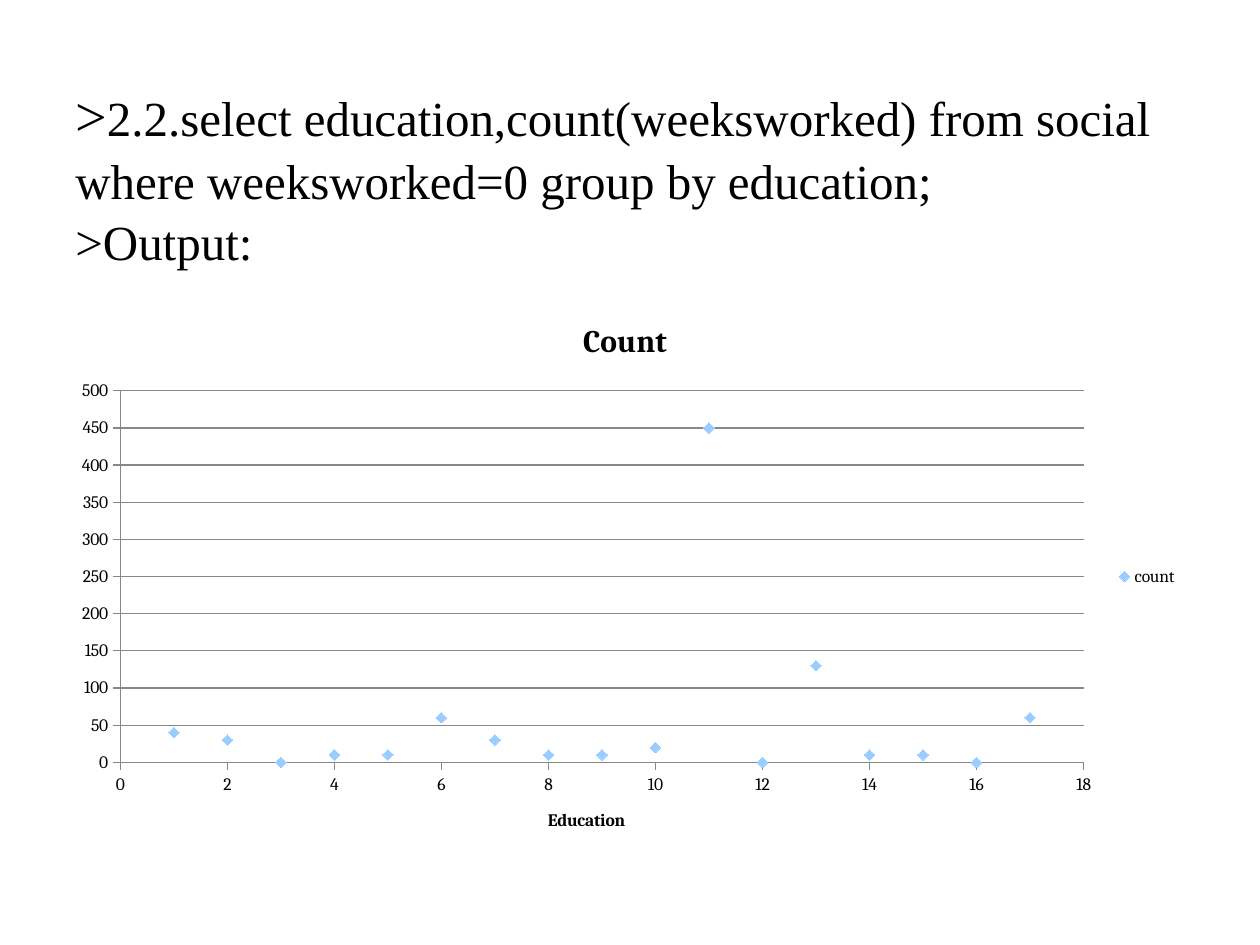
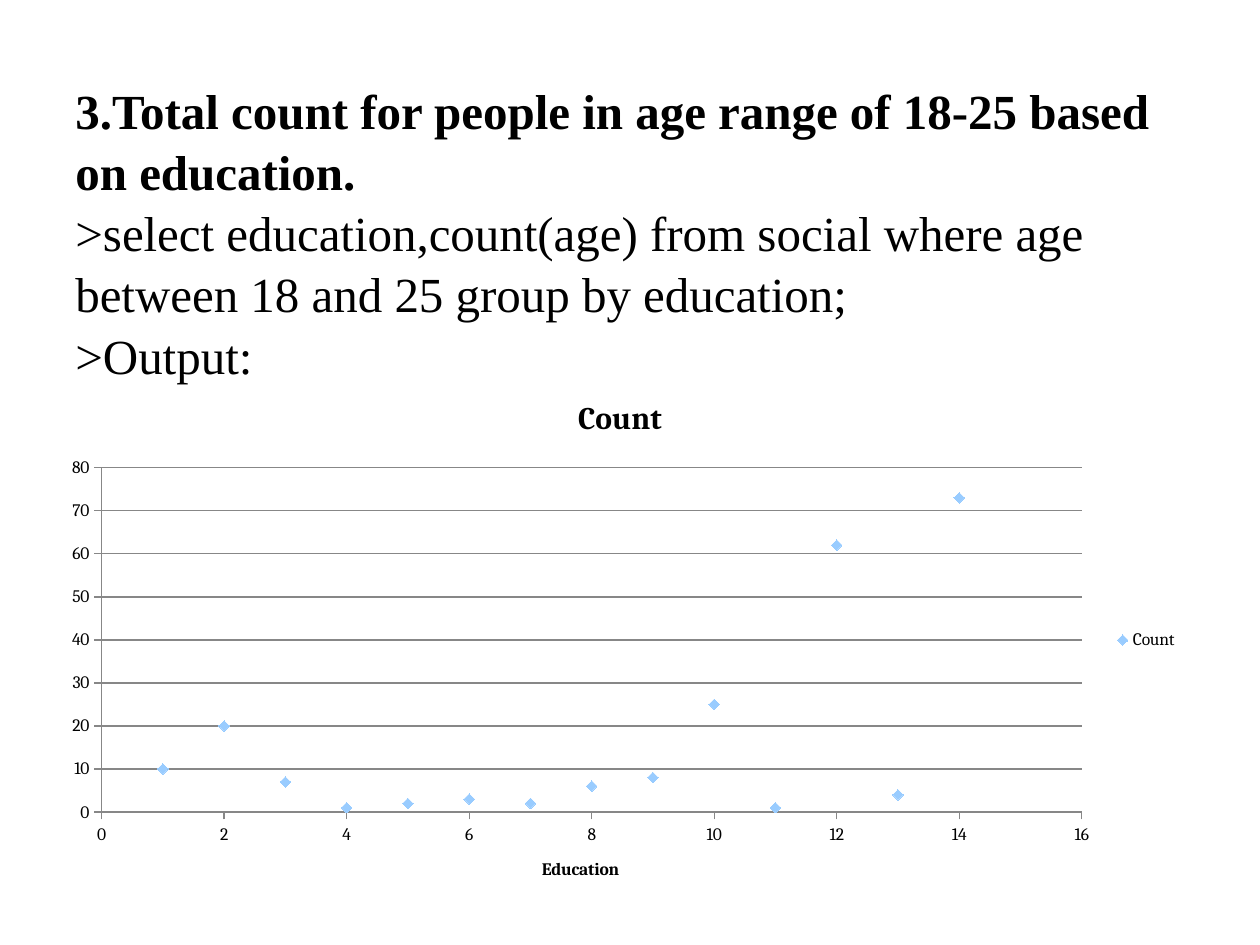
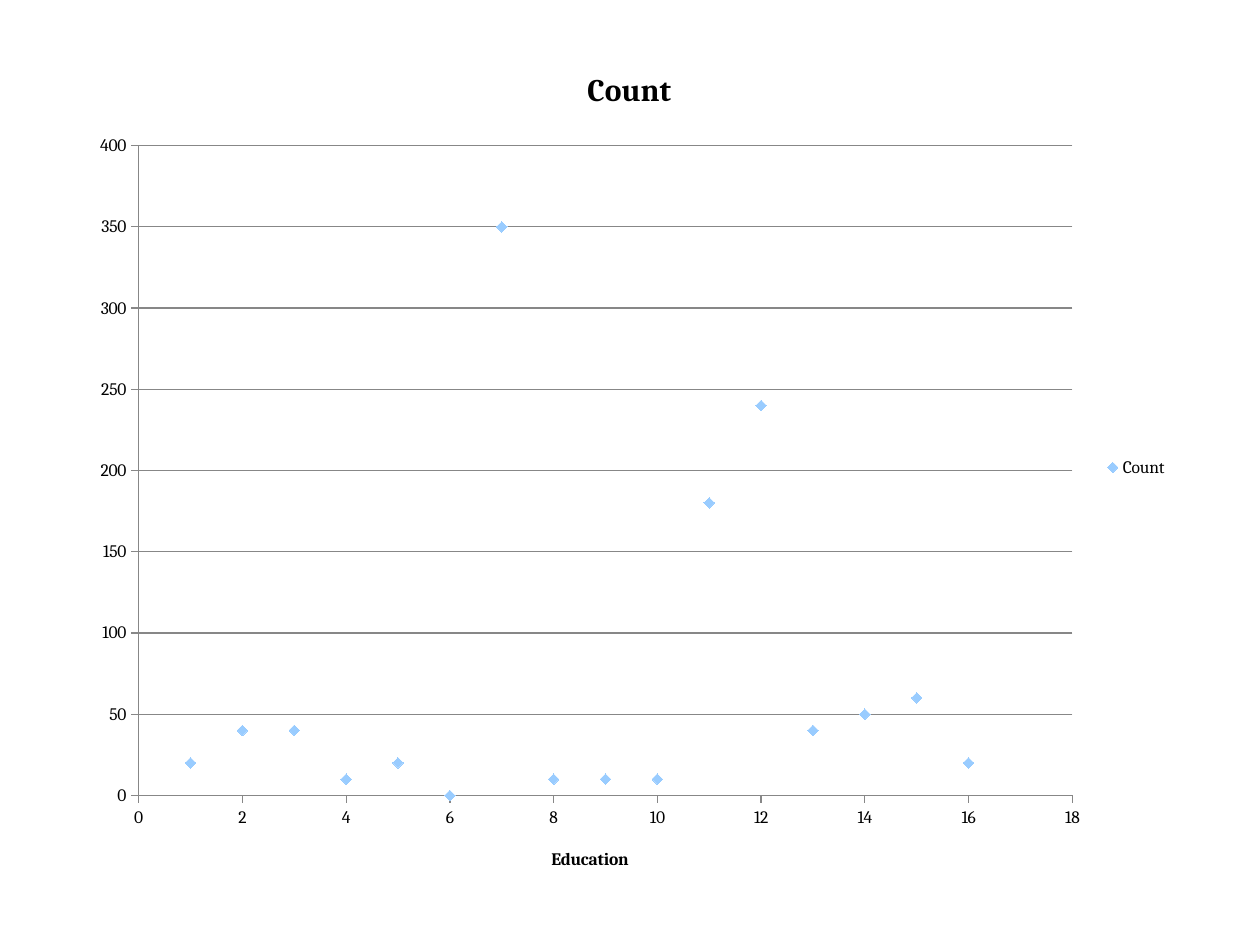
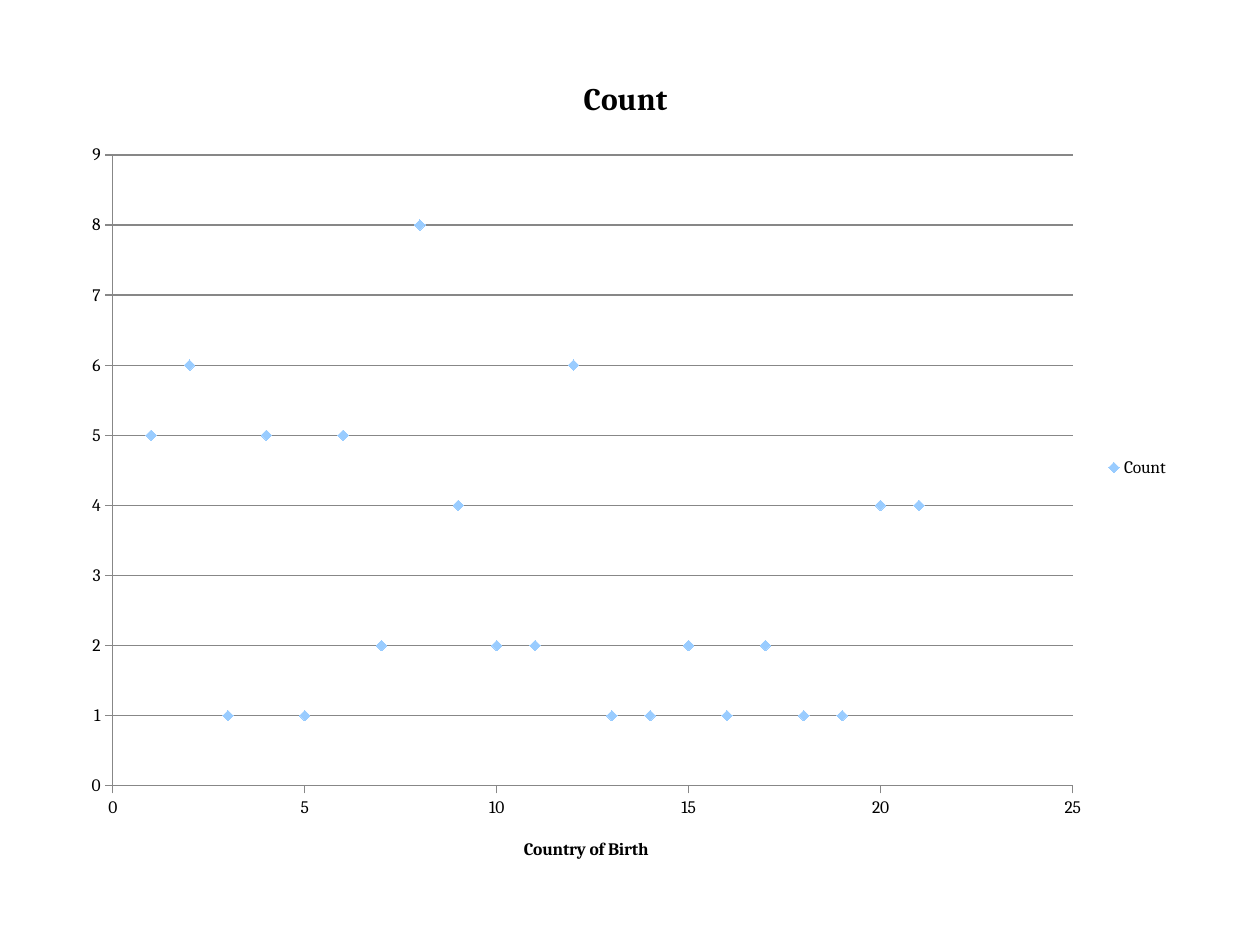
"""Build four slides of survey query results with scatter charts."""
from dataclasses import dataclass
from typing import Any

from pptx import Presentation
from pptx import util as u
from pptx.chart import data as cd
from pptx.dml.color import RGBColor
from pptx.enum import chart as ch, text

SCALE = 9144
BLACK = RGBColor(0x00, 0x00, 0x00)
WHITE = RGBColor(0xFF, 0xFF, 0xFF)
GRAY = RGBColor(0x87, 0x87, 0x87)
SKY = RGBColor(0x99, 0xCC, 0xFF)
BODY = {"name": "Times New Roman", "size": u.Pt(28), "bold": False}
LARGE = {**BODY, "size": u.Pt(32)}
STRONG = {**BODY, "bold": True}
LABEL = {"name": "Cambria", "size": u.Pt(10), "bold": False}
NAME = {**LABEL, "bold": True}
HEAD = {**NAME, "size": u.Pt(18)}
FRAME = {"word_wrap": True, "vertical_anchor": text.MSO_ANCHOR.TOP}
MARK = {"style": ch.XL_MARKER_STYLE.DIAMOND, "size": 6}
LEGEND = {"position": ch.XL_LEGEND_POSITION.RIGHT, "include_in_layout": False}
AXIS = {
    "minimum_scale": 0,
    "has_minor_gridlines": False,
    "major_tick_mark": ch.XL_TICK_MARK.OUTSIDE,
    "minor_tick_mark": ch.XL_TICK_MARK.NONE,
}


@dataclass(frozen=True)
class Box:
    left: int
    top: int
    width: int
    height: int

    def place(self) -> tuple[u.Emu, ...]:
        return tuple(px(n) for n in (self.left, self.top, self.width, self.height))


@dataclass(frozen=True)
class Run:
    words: str
    style: dict[str, Any]


@dataclass(frozen=True)
class Query:
    box: Box
    lines: tuple[tuple[Run, ...], ...]


@dataclass(frozen=True)
class Span:
    top: int
    step: int


@dataclass(frozen=True)
class Plot:
    box: Box
    series: str
    label: str
    across: Span
    upward: Span
    counts: tuple[int, ...]


@dataclass(frozen=True)
class Page:
    plot: Plot
    query: Query | None = None


OUTPUT = (Run(">Output:", BODY),)
PAGES = (
    Page(
        Plot(Box(47, 235, 898, 445), "count", "Education", Span(18, 2), Span(500, 50),
             (40, 30, 0, 10, 10, 60, 30, 10, 10, 20, 450, 0, 130, 10, 10, 0, 60)),
        Query(Box(50, 30, 903, 704), (
            (Run(">", LARGE),
             Run("2.2.select education,count(weeksworked) from social "
                 "where weeksworked=0 group by education;", BODY)),
            OUTPUT,
        )),
    ),
    Page(
        Plot(Box(39, 297, 906, 422), "Count", "Education", Span(16, 2), Span(80, 10),
             (10, 20, 7, 1, 2, 3, 2, 6, 8, 25, 1, 62, 4, 73)),
        Query(Box(50, 30, 900, 665), (
            (Run("3.Total count for people in age range of 18-25 "
                 "based on education.", STRONG),),
            (Run(">select education,count(age) from social where age "
                 "between 18 and 25 group by education;", BODY),),
            OUTPUT,
        )),
    ),
    Page(Plot(Box(62, 31, 875, 680), "Count", "Education", Span(18, 2), Span(400, 50),
              (20, 40, 40, 10, 20, 0, 350, 10, 10, 10, 180, 240, 40, 50, 60, 20))),
    Page(Plot(Box(55, 39, 883, 664), "Count", "Country of Birth", Span(25, 5), Span(9, 1),
              (5, 6, 1, 5, 1, 5, 2, 8, 4, 2, 2, 6, 1, 1, 2, 1, 2, 1, 1, 4, 4))),
)


def px(count: int) -> u.Emu:
    return u.Emu(count * SCALE)


def apply(target: Any, values: dict[str, Any]) -> None:
    for key, value in values.items():
        setattr(target, key, value)


def style_font(font: Any, style: dict[str, Any]) -> None:
    apply(font, style)
    font.color.rgb = BLACK


def style_line(line: Any) -> None:
    line.width = u.Pt(0.75)
    line.color.rgb = GRAY


def write_head(owner: Any, words: str, style: dict[str, Any]) -> None:
    frame = owner.text_frame
    frame.text = words
    style_font(frame.paragraphs[0].runs[0].font, style)


def draw_query(slide: Any, query: Query) -> None:
    frame = slide.shapes.add_textbox(*query.box.place()).text_frame
    apply(frame, {**FRAME, "margin_top": px(32)})
    for index, line in enumerate(query.lines):
        para = frame.add_paragraph() if index else frame.paragraphs[0]
        para.line_spacing = 1.04
        for part in line:
            run = para.add_run()
            run.text = part.words
            style_font(run.font, part.style)


def set_axis(axis: Any, span: Span, grid: bool) -> None:
    apply(axis, {**AXIS, "maximum_scale": span.top, "major_unit": span.step,
                 "has_major_gridlines": grid})
    style_line(axis.format.line)
    if grid:
        style_line(axis.major_gridlines.format.line)


def draw_plot(slide: Any, plot: Plot) -> None:
    data = cd.XyChartData()
    points = data.add_series(plot.series)
    for place, count in enumerate(plot.counts, start=1):
        points.add_data_point(place, count)
    chart = slide.shapes.add_chart(
        ch.XL_CHART_TYPE.XY_SCATTER, *plot.box.place(), data).chart
    style_font(chart.font, LABEL)
    apply(chart, {"has_title": True, "has_legend": True})
    apply(chart.legend, LEGEND)
    write_head(chart.chart_title, "Count", HEAD)
    set_axis(chart.category_axis, plot.across, False)
    set_axis(chart.value_axis, plot.upward, True)
    write_head(chart.category_axis.axis_title, plot.label, NAME)
    chart.plots[0].vary_by_categories = False
    series = chart.plots[0].series[0]
    series.format.line.fill.background()
    apply(series.marker, MARK)
    look = series.marker.format
    look.fill.solid()
    look.fill.fore_color.rgb = SKY
    look.line.fill.background()


def main() -> None:
    deck = Presentation()
    apply(deck, {"slide_width": px(1000), "slide_height": px(750)})
    for page in PAGES:
        slide = deck.slides.add_slide(deck.slide_layouts[6])
        slide.background.fill.solid()
        slide.background.fill.fore_color.rgb = WHITE
        if page.query:
            draw_query(slide, page.query)
        draw_plot(slide, page.plot)
    deck.save("out.pptx")


if __name__ == "__main__":
    main()
